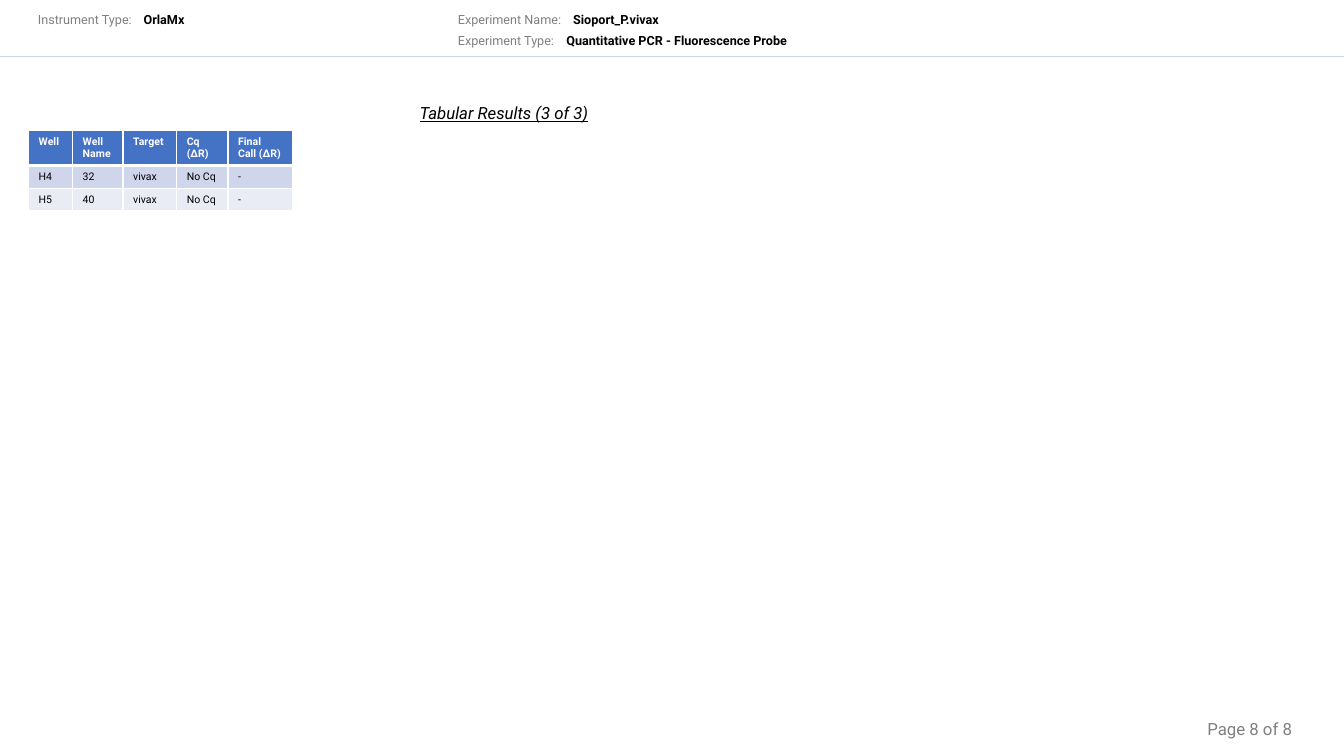
from dataclasses import dataclass

from lxml import etree
from pptx import Presentation
from pptx.dml.color import RGBColor
from pptx.enum.shapes import MSO_CONNECTOR
from pptx.enum.text import MSO_ANCHOR, PP_ALIGN
from pptx.oxml.ns import qn
from pptx.util import Pt

LEFT, CENTER, RIGHT = PP_ALIGN.LEFT, PP_ALIGN.CENTER, PP_ALIGN.RIGHT
TOP = MSO_ANCHOR.TOP
STRAIGHT = MSO_CONNECTOR.STRAIGHT


@dataclass(frozen=True)
class Theme:
    font: str = "Roboto"
    ink: str = "000000"
    muted: str = "808080"
    white: str = "FFFFFF"
    rule: str = "CBD6DC"
    header_fill: str = "4472C4"
    band_fills: tuple = ("CFD5EA", "E9EBF5")
    title_size: float = 12
    label_size: float = 9
    table_size: float = 7.5


THEME = Theme()


def write(frame, text, size, color, align=LEFT, bold=False, italic=False, underline=False):
    """Fill a text frame, one paragraph per line of text."""
    frame.word_wrap = True
    frame.text = text
    for paragraph in frame.paragraphs:
        paragraph.alignment = align
        for run in paragraph.runs:
            font = run.font
            font.name, font.size = THEME.font, Pt(size)
            font.color.rgb = RGBColor.from_string(color)
            font.bold, font.italic, font.underline = bold, italic, underline


def add_borders(cell, bottom_width):
    """Draw white borders round a cell, 1 pt except at the bottom."""
    properties = cell._tc.get_or_add_tcPr()
    widths = {"a:lnL": 1, "a:lnR": 1, "a:lnT": 1, "a:lnB": bottom_width}
    for position, (side, width) in enumerate(widths.items()):
        border = etree.Element(qn(side), w=str(Pt(width)))
        fill = etree.SubElement(border, qn("a:solidFill"))
        etree.SubElement(fill, qn("a:srgbClr"), val=THEME.white)
        properties.insert(position, border)


class ReportPage:
    def __init__(self, presentation, theme):
        self.theme = theme
        self.slide = presentation.slides.add_slide(presentation.slide_layouts[5])

    def title(self, text, left, top, width, height):
        title = self.slide.shapes.title
        title.left, title.top, title.width, title.height = map(Pt, (left, top, width, height))
        title.text_frame.vertical_anchor = TOP
        write(title.text_frame, text, self.theme.title_size, self.theme.ink,
              align=CENTER, italic=True, underline=True)

    def text(self, text, left, top, width, height, **style):
        box = self.slide.shapes.add_textbox(*map(Pt, (left, top, width, height)))
        write(box.text_frame, text, **style)

    def field(self, label, value, label_left, value_left, top):
        size = self.theme.label_size
        self.text(label, label_left, top, 90, 18, size=size, color=self.theme.muted)
        self.text(value, value_left, top, 260, 18, size=size, color=self.theme.ink, bold=True)

    def rule(self, top, width):
        rule = self.slide.shapes.add_connector(STRAIGHT, 0, Pt(top), Pt(width), Pt(top))
        rule.line.color.rgb = RGBColor.from_string(self.theme.rule)
        rule.line.width = Pt(0.5)
        etree.SubElement(rule._element.spPr, qn("a:effectLst"))

    def table(self, rows, left, top, column_widths, header_height, row_height):
        theme = self.theme
        heights = [header_height] + [row_height] * (len(rows) - 1)
        table = self.slide.shapes.add_table(
            len(rows), len(column_widths), Pt(left), Pt(top),
            Pt(sum(column_widths)), Pt(sum(heights))).table
        for column, width in zip(table.columns, column_widths):
            column.width = Pt(width)
        for index, (row, height, values) in enumerate(zip(table.rows, heights, rows)):
            row.height = Pt(height)
            header = index == 0
            fill = theme.header_fill if header else theme.band_fills[(index - 1) % 2]
            for cell, value in zip(row.cells, values):
                write(cell.text_frame, value, theme.table_size,
                      theme.white if header else theme.ink, bold=header)
                cell.fill.solid()
                cell.fill.fore_color.rgb = RGBColor.from_string(fill)
                add_borders(cell, 3 if header else 1)


def main():
    presentation = Presentation()
    presentation.slide_width, presentation.slide_height = Pt(960), Pt(540)
    page = ReportPage(presentation, THEME)

    # Experiment header
    page.field("Instrument Type:", "OrlaMx", 20, 95.5, 5)
    page.field("Experiment Name:", "Sioport_P.vivax", 320, 402.3, 5)
    page.field("Experiment Type:", "Quantitative PCR - Fluorescence Probe", 320, 397.5, 20)
    page.rule(40.3, 960)

    # Results
    page.title("Tabular Results (3 of 3)", 20, 70, 680, 22)
    results = [
        ("Well", "Well\nName", "Target", "Cq\n(∆R)", "Final\nCall (∆R)"),
        ("H4", "32", "vivax", "No Cq", "-"),
        ("H5", "40", "vivax", "No Cq", "-"),
    ]
    page.table(results, 20.4, 93, (31.5, 36, 38.3, 36.7, 46.3), 24.8, 16.1)

    # Page number
    page.text("Page 8 of 8", 810, 510, 120, 22, size=THEME.title_size,
              color=THEME.muted, align=RIGHT)

    presentation.save("out.pptx")


if __name__ == "__main__":
    main()
